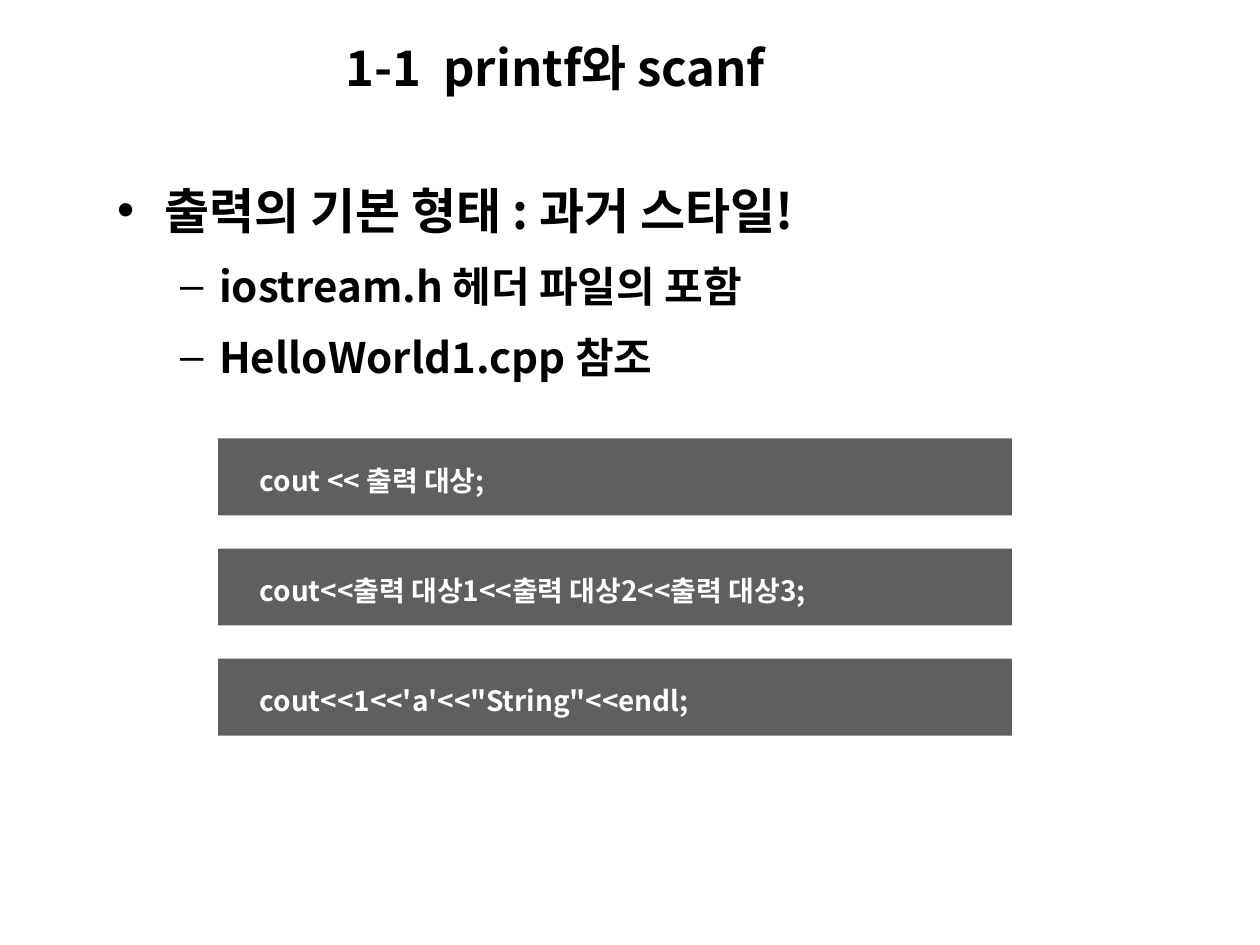
from lxml.etree import SubElement
from pptx import Presentation
from pptx.dml.color import RGBColor
from pptx.enum.shapes import MSO_SHAPE
from pptx.enum.text import MSO_ANCHOR, PP_ALIGN
from pptx.oxml.ns import qn
from pptx.util import Cm, Pt

FONT = "Noto Sans CJK KR"
BLACK, WHITE, GRAY = "000000", "FFFFFF", "5F5F5F"


def color(hex_code):
    return RGBColor.from_string(hex_code)


class LessonSlide:
    """Holds the text style and the slide being filled."""

    def __init__(self, slide, font=FONT):
        self.slide = slide
        self.font = font

    def add_run(self, paragraph, text, size, ink):
        run = paragraph.add_run()
        run.text = text
        run.font.size = Pt(size)
        run.font.bold = True
        run.font.name = self.font
        run.font.color.rgb = color(ink)
        # East Asian letters take their typeface from a separate element.
        SubElement(run.font._element, qn("a:ea"), typeface=self.font)

    def text_frame(self, left, top, width, height):
        box = self.slide.shapes.add_textbox(Cm(left), Cm(top), Cm(width), Cm(height))
        box.text_frame.word_wrap = True
        return box.text_frame

    def title(self, text, left, top, width, height):
        frame = self.text_frame(left, top, width, height)
        frame.vertical_anchor = MSO_ANCHOR.MIDDLE
        self.add_run(frame.paragraphs[0], text, 28, BLACK)

    def add_bullet(self, paragraph, mark, margin, hanging):
        properties = paragraph._p.get_or_add_pPr()
        properties.set("marL", str(Cm(margin)))
        properties.set("indent", str(-Cm(hanging)))
        bullet_color = SubElement(properties, qn("a:buClr"))
        SubElement(bullet_color, qn("a:srgbClr"), val=BLACK)
        SubElement(properties, qn("a:buFont"), typeface="Arial")
        SubElement(properties, qn("a:buChar"), char=mark)

    def outline(self, heading, details, left, top, width, height):
        frame = self.text_frame(left, top, width, height)
        items = [(heading, 0)] + [(detail, 1) for detail in details]
        # Per level: mark, margin, hanging indent, text size, space before
        levels = [("•", 0.95, 0.95, 28, 7), ("–", 2.06, 0.79, 24, 6)]
        for index, (text, level) in enumerate(items):
            paragraph = frame.add_paragraph() if index else frame.paragraphs[0]
            mark, margin, hanging, size, gap = levels[level]
            paragraph.level = level
            paragraph.line_spacing = 1.2
            paragraph.space_before = Pt(gap)
            self.add_bullet(paragraph, mark, margin, hanging)
            self.add_run(paragraph, text, size, BLACK)

    def code_bar(self, code, left, top, width, height):
        bar = self.slide.shapes.add_shape(
            MSO_SHAPE.RECTANGLE, Cm(left), Cm(top), Cm(width), Cm(height))
        bar.shadow.inherit = False
        bar.fill.solid()
        bar.fill.fore_color.rgb = color(GRAY)
        bar.line.fill.background()
        frame = bar.text_frame
        frame.word_wrap = True
        frame.vertical_anchor = MSO_ANCHOR.MIDDLE
        frame.margin_left, frame.margin_top = Cm(0.84), Cm(0.33)
        frame.margin_right, frame.margin_bottom = Cm(0.25), Cm(0.53)
        paragraph = frame.paragraphs[0]
        paragraph.alignment = PP_ALIGN.LEFT
        paragraph.line_spacing = 1.5
        self.add_run(paragraph, code, 16, WHITE)


def main():
    deck = Presentation()
    deck.slide_width, deck.slide_height = Cm(25.4), Cm(19.05)
    lesson = LessonSlide(deck.slides.add_slide(deck.slide_layouts[6]))

    lesson.title("1-1  printf와 scanf", 6.71, 0.03, 9.3, 2.62)
    lesson.outline(
        "출력의 기본 형태 : 과거 스타일!",
        ["iostream.h 헤더 파일의 포함", "HelloWorld1.cpp 참조"],
        2.11, 3.28, 17.8, 4.55)

    statements = [
        "cout << 출력 대상;",
        "cout<<출력 대상1<<출력 대상2<<출력 대상3;",
        "cout<<1<<'a'<<\"String\"<<endl;",
    ]
    first_top, pitch = 8.84, 2.22
    for row, statement in enumerate(statements):
        lesson.code_bar(statement, 4.4, first_top + row * pitch, 16, 1.55)

    deck.save("out.pptx")


if __name__ == "__main__":
    main()
